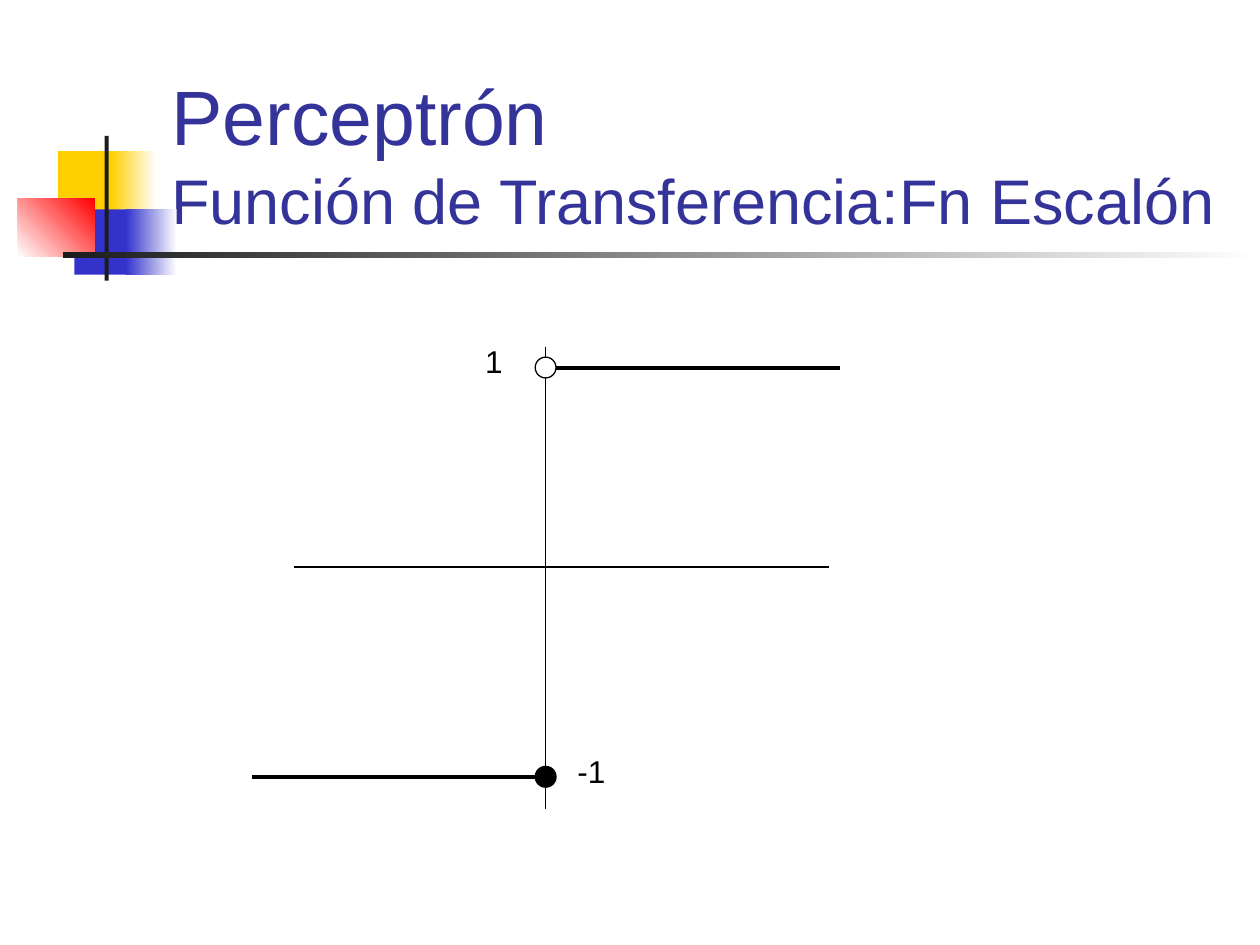
from lxml import etree
from pptx import Presentation
from pptx.dml.color import RGBColor
from pptx.enum.shapes import MSO_CONNECTOR, MSO_SHAPE
from pptx.enum.text import MSO_ANCHOR, MSO_AUTO_SIZE, PP_ALIGN
from pptx.oxml.ns import qn
from pptx.util import Cm, Pt

RECT, OVAL = MSO_SHAPE.RECTANGLE, MSO_SHAPE.OVAL
STRAIGHT = MSO_CONNECTOR.STRAIGHT
BOTTOM, LEFT = MSO_ANCHOR.BOTTOM, PP_ALIGN.LEFT
NO_FIT, GROW = MSO_AUTO_SIZE.NONE, MSO_AUTO_SIZE.SHAPE_TO_FIT_TEXT
TITLE_ONLY = 5
FONT = "Arial"
COLORS = {
    "white": "FFFFFF", "black": "000000", "dark": "1C1C1C", "yellow": "FFCF01",
    "blue": "3333CC", "red": "FF0000", "title": "333399",
}
THIN, THICK = 0.75, 2.25


def rgb(name):
    """Return the palette colour with this name."""
    return RGBColor.from_string(COLORS[name])


class Sketch:
    """Draws styled elements on one slide, with lengths in centimetres."""

    def __init__(self, slide):
        self.slide = slide
        self.shapes = slide.shapes

    def style(self, paragraph, size, color):
        """Set the font of a paragraph."""
        font = paragraph.font
        font.name, font.size = FONT, Pt(size)
        font.color.rgb = rgb(color)

    def title(self, heading, subheading, box):
        """Fill the title with a large line and a smaller one below it."""
        title = self.shapes.title
        title.left, title.top, title.width, title.height = map(Cm, box)
        frame = title.text_frame
        frame.auto_size, frame.vertical_anchor = NO_FIT, BOTTOM
        paragraph = frame.paragraphs[0]
        paragraph.alignment = LEFT
        self.style(paragraph, 44, "title")
        first = paragraph.add_run()
        first.text = heading
        first.font.size = Pt(44)
        paragraph.add_line_break()
        second = paragraph.add_run()
        second.text = subheading
        second.font.size = Pt(36)

    def block(self, box, color, fade_to=None, angle=0):
        """Add a borderless rectangle, plain or fading to a second colour."""
        block = self.shapes.add_shape(RECT, *map(Cm, box))
        block.shadow.inherit = False
        block.line.fill.background()
        if fade_to is None:
            block.fill.solid()
            block.fill.fore_color.rgb = rgb(color)
            return
        block.fill.gradient()
        block.fill.gradient_angle = angle
        for stop, name in zip(block.fill.gradient_stops, (color, fade_to)):
            stop.color.rgb = rgb(name)

    def line(self, start, end, width):
        """Add a straight black line."""
        line = self.shapes.add_connector(STRAIGHT, *map(Cm, start + end))
        line.line.color.rgb = rgb("black")
        line.line.width = Pt(width)
        etree.SubElement(line._element.spPr, qn("a:effectLst"))

    def dot(self, center, color, size=0.42):
        """Add an end point of a step, centred on a position."""
        left, top = (c - size / 2 for c in center)
        dot = self.shapes.add_shape(OVAL, *map(Cm, (left, top, size, size)))
        dot.shadow.inherit = False
        dot.fill.solid()
        dot.fill.fore_color.rgb = rgb(color)
        dot.line.color.rgb = rgb("black")
        dot.line.width = Pt(THIN)

    def label(self, text, box):
        """Add a value label that does not wrap."""
        frame = self.shapes.add_textbox(*map(Cm, box)).text_frame
        frame.word_wrap, frame.auto_size = False, GROW
        frame.text = text
        self.style(frame.paragraphs[0], 18, "black")


def draw_ornament(sketch):
    """Draw the coloured squares and bars beside the title."""
    sketch.block((1.17, 3.05, 1.22, 1.32), "yellow")
    sketch.block((2.24, 3.05, 0.91, 1.32), "yellow", "white")
    sketch.block((1.5, 4.22, 1.17, 1.32), "blue")
    sketch.block((2.54, 4.22, 1.02, 1.32), "blue", "white")
    sketch.block((0.36, 4.01, 1.55, 1.17), "white", "red", angle=45)
    sketch.block((2.11, 2.74, 0.08, 2.92), "dark")
    sketch.block((1.27, 5.08, 24.13, 0.13), "dark", "white")


def draw_step_function(sketch):
    """Draw the axes, both steps with their end points, and the values."""
    origin_x, origin_y = 11, 11.43
    upper_y, lower_y = 7.41, 15.66
    sketch.line((origin_x, 6.99), (origin_x, 16.3), THIN)
    sketch.line((5.93, origin_y), (16.72, origin_y), THIN)
    sketch.line((origin_x, upper_y), (16.93, upper_y), THICK)
    sketch.line((5.08, lower_y), (origin_x, lower_y), THICK)
    sketch.label("-1", (11.39, 15.03, 1.07, 1.02))
    sketch.label("1", (9.53, 6.77, 0.86, 1.02))
    sketch.dot((origin_x, upper_y), "white")
    sketch.dot((origin_x, lower_y), "black")


def main():
    """Build and save the slide."""
    deck = Presentation()
    deck.slide_width, deck.slide_height = Cm(25.4), Cm(19.05)
    sketch = Sketch(deck.slides.add_slide(deck.slide_layouts[TITLE_ONLY]))
    draw_ornament(sketch)
    sketch.title("Perceptrón", "Función de Transferencia:Fn Escalón",
                 (3.2, 1.73, 21.64, 3.17))
    draw_step_function(sketch)
    deck.save("out.pptx")


main()
